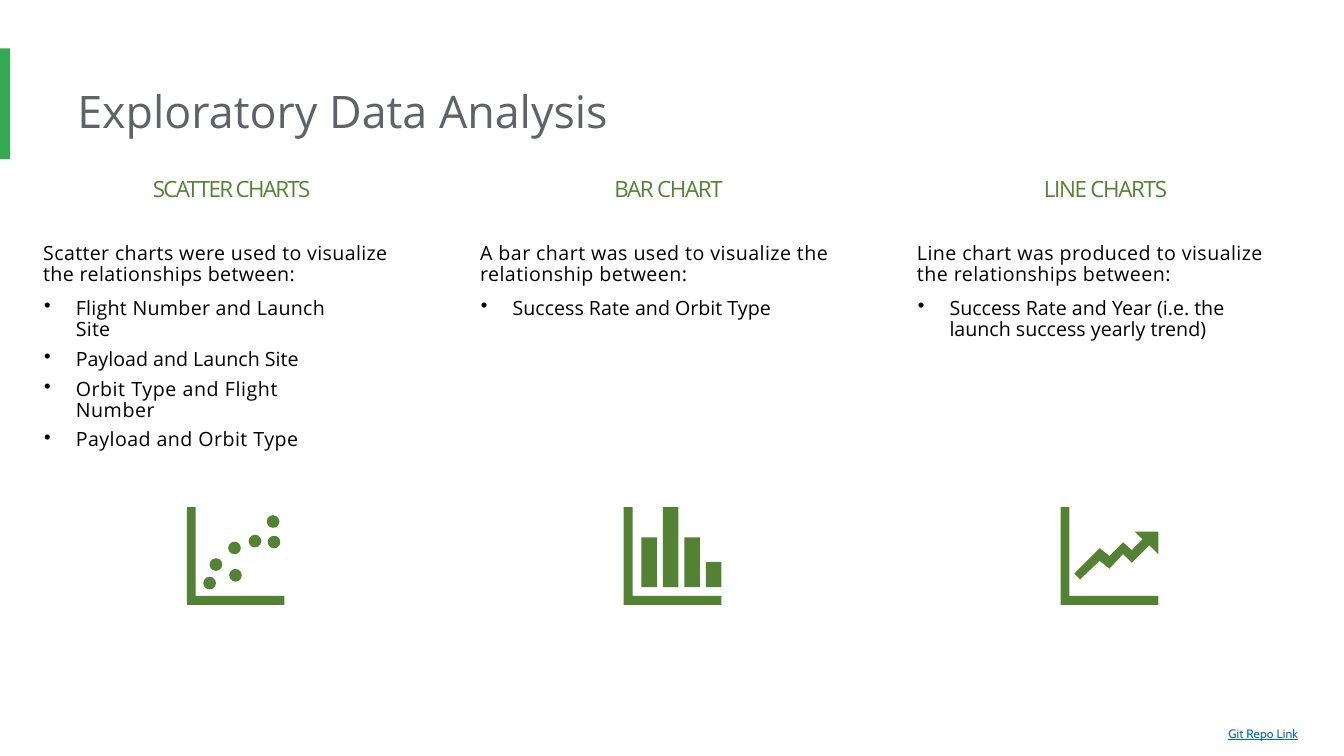
from dataclasses import dataclass

from lxml import etree
from pptx import Presentation
from pptx.dml.color import RGBColor
from pptx.enum.shapes import MSO_SHAPE
from pptx.enum.text import PP_ALIGN
from pptx.oxml.ns import qn
from pptx.util import Cm, Pt

RECTANGLE = MSO_SHAPE.RECTANGLE
OVAL = MSO_SHAPE.OVAL
LEFT = PP_ALIGN.LEFT
CENTER = PP_ALIGN.CENTER


@dataclass(frozen=True)
class Theme:
    """Colours, fonts and type sizes of the deck."""
    accent: RGBColor = RGBColor(0x34, 0xA8, 0x53)
    title: RGBColor = RGBColor(0x5F, 0x63, 0x68)
    green: RGBColor = RGBColor(0x54, 0x82, 0x35)
    body: RGBColor = RGBColor(0, 0, 0)
    link: RGBColor = RGBColor(0x05, 0x63, 0xC1)
    font: str = "Open Sans"
    link_font: str = "Cabin"
    title_size: int = 32
    heading_size: int = 16
    body_size: int = 14
    link_size: int = 15


@dataclass(frozen=True)
class Box:
    """A rectangle in centimetres."""
    left: float
    top: float
    width: float
    height: float

    def lengths(self):
        """Return the four sides as slide lengths."""
        return Cm(self.left), Cm(self.top), Cm(self.width), Cm(self.height)

    def inside(self, left, top, width, height):
        """Return a box placed relative to this one."""
        return Box(self.left + left, self.top + top, width, height)

    def percent(self, left, top, width, height):
        """Return a box given in percent of this one."""
        return self.inside(left * self.width / 100, top * self.height / 100,
                           width * self.width / 100, height * self.height / 100)


THEME = Theme()
COLUMN_STEP = 11.01
AXES = [(0, 0), (9, 0), (9, 91), (100, 91), (100, 100), (0, 100)]
DOTS = [(43, 36), (44, 64), (24, 53), (17.5, 72), (64, 29), (83.5, 30), (82.5, 9)]
DOT_SIZE = 11.5
BAR_TOPS = [31, 0, 31, 56]
BAR_LEFT, BAR_STEP, BAR_WIDTH, BAR_BASE = 17.5, 22, 16.5, 82
ARROW = [(100, 25), (76, 25), (84.5, 33), (73, 44), (64, 36), (49.5, 50.5), (40, 42),
         (14.5, 68), (20.5, 74), (40, 55), (49.5, 63), (64, 48.5), (73, 57), (91, 39),
         (100, 48.5)]


def add_bullet(para):
    """Give a paragraph a hanging round bullet."""
    properties = para._p.get_or_add_pPr()
    properties.set("marL", str(Cm(0.82)))
    properties.set("indent", str(-Cm(0.8)))
    etree.SubElement(properties, qn("a:buChar")).set("char", "•")


def add_text(page, box, lines, size=THEME.body_size, color=THEME.body, font=THEME.font,
             align=LEFT, bullets=False, underline=False, baseline=0, inset=0.03):
    """Add a text box of (text, letter spacing) lines."""
    frame = page.shapes.add_textbox(*box.lengths()).text_frame
    frame.word_wrap = True
    frame.margin_left = frame.margin_right = frame.margin_bottom = 0
    frame.margin_top = Cm(inset)
    for index, (text, spacing) in enumerate(lines):
        para = frame.add_paragraph() if index else frame.paragraphs[0]
        if bullets:
            add_bullet(para)
        para.alignment = align
        para.line_spacing = 0.9
        para.space_before = Pt(6 if index else 0)
        run = para.add_run()
        run.text = text
        run.font.name = font
        run.font.size = Pt(size)
        run.font.color.rgb = color
        run.font.underline = underline
        properties = run._r.get_or_add_rPr()
        properties.set("spc", str(round(spacing * 100)))
        if baseline:
            properties.set("baseline", str(baseline * 1000))


def paint(shape, color, outline=False):
    """Fill a shape with one colour and no shadow."""
    shape.shadow.inherit = False
    shape.fill.solid()
    shape.fill.fore_color.rgb = color
    if outline:
        shape.line.color.rgb = color
        shape.line.width = Pt(1)
    else:
        shape.line.fill.background()


def draw_outline(page, box, contours):
    """Draw closed contours given in percent of the box."""
    (first, *rest), *others = contours
    builder = page.shapes.build_freeform(*first, scale=Cm(box.width) / 100)
    builder.add_line_segments(rest, close=True)
    for start, *points in others:
        builder.move_to(*start)
        builder.add_line_segments(points, close=True)
    paint(builder.convert_to_shape(Cm(box.left), Cm(box.top)), THEME.green)


def draw_scatter(page, box):
    """Draw the dots of the scatter icon."""
    for left, top in DOTS:
        place = box.percent(left, top, DOT_SIZE, DOT_SIZE)
        paint(page.shapes.add_shape(OVAL, *place.lengths()), THEME.green, outline=True)


def draw_bars(page, box):
    """Draw the bars of the bar icon."""
    bars = []
    for index, top in enumerate(BAR_TOPS):
        left = BAR_LEFT + index * BAR_STEP
        right = left + BAR_WIDTH
        bars.append([(left, top), (right, top), (right, BAR_BASE), (left, BAR_BASE)])
    draw_outline(page, box, bars)


def draw_trend(page, box):
    """Draw the rising arrow of the line icon."""
    draw_outline(page, box, [ARROW])


COLUMNS = [
    (("SCATTER CHARTS", -1.2),
     ("Scatter charts were used to visualize the relationships between:", 0.25),
     [("Flight Number and Launch Site", 0.2), ("Payload and Launch Site", 0),
      ("Orbit Type and Flight Number", 0.4), ("Payload and Orbit Type", 0.3)],
     7.75, draw_scatter),
    (("BAR CHART", -0.9),
     ("A bar chart was used to visualize the relationship between:", 0.3),
     [("Success Rate and Orbit Type", 0)], 9.25, draw_bars),
    (("LINE CHARTS", -0.9),
     ("Line chart was produced to visualize the relationships between:", 0.3),
     [("Success Rate and Year (i.e. the launch success yearly trend)", 0)],
     9.1, draw_trend),
]


def add_header(page, box):
    """Add the accent bar and the title."""
    bar = box.inside(0, 0, 0.26, box.height)
    paint(page.shapes.add_shape(RECTANGLE, *bar.lengths()), THEME.accent)
    add_text(page, box.inside(1.95, 0.71, 22.81, 2.06), [("Exploratory Data Analysis", 0)],
             size=THEME.title_size, color=THEME.title, inset=0.33)


def add_column(page, box, heading, intro, points, points_width, draw_marks):
    """Add one chart type: heading, text and icon."""
    add_text(page, box.inside(0, 0, box.width, 0.71), [heading],
             size=THEME.heading_size, color=THEME.green, align=CENTER)
    add_text(page, box.inside(0, 1.63, 9.3, 1.27), [intro])
    add_text(page, box.inside(0, 3.03, points_width, 1.27), points, bullets=True)
    icon = box.inside(3.62, 8.31, 2.46, 2.46)
    draw_outline(page, icon, [AXES])
    draw_marks(page, icon)


def add_footer(page, box):
    """Add the link label."""
    add_text(page, box, [("Git Repo Link", 0.1)], size=THEME.link_size, color=THEME.link,
             font=THEME.link_font, underline=True, baseline=3)


def main():
    """Build and save the deck."""
    deck = Presentation()
    deck.slide_width, deck.slide_height = Cm(33.87), Cm(19.05)
    page = deck.slides.add_slide(deck.slide_layouts[6])
    add_header(page, Box(0, 1.22, 33.87, 2.79))
    for index, column in enumerate(COLUMNS):
        add_column(page, Box(1.09 + index * COLUMN_STEP, 4.47, 9.5, 10.77), *column)
    add_footer(page, Box(30.96, 18.14, 2.41, 0.66))
    deck.save("out.pptx")


if __name__ == "__main__":
    main()
